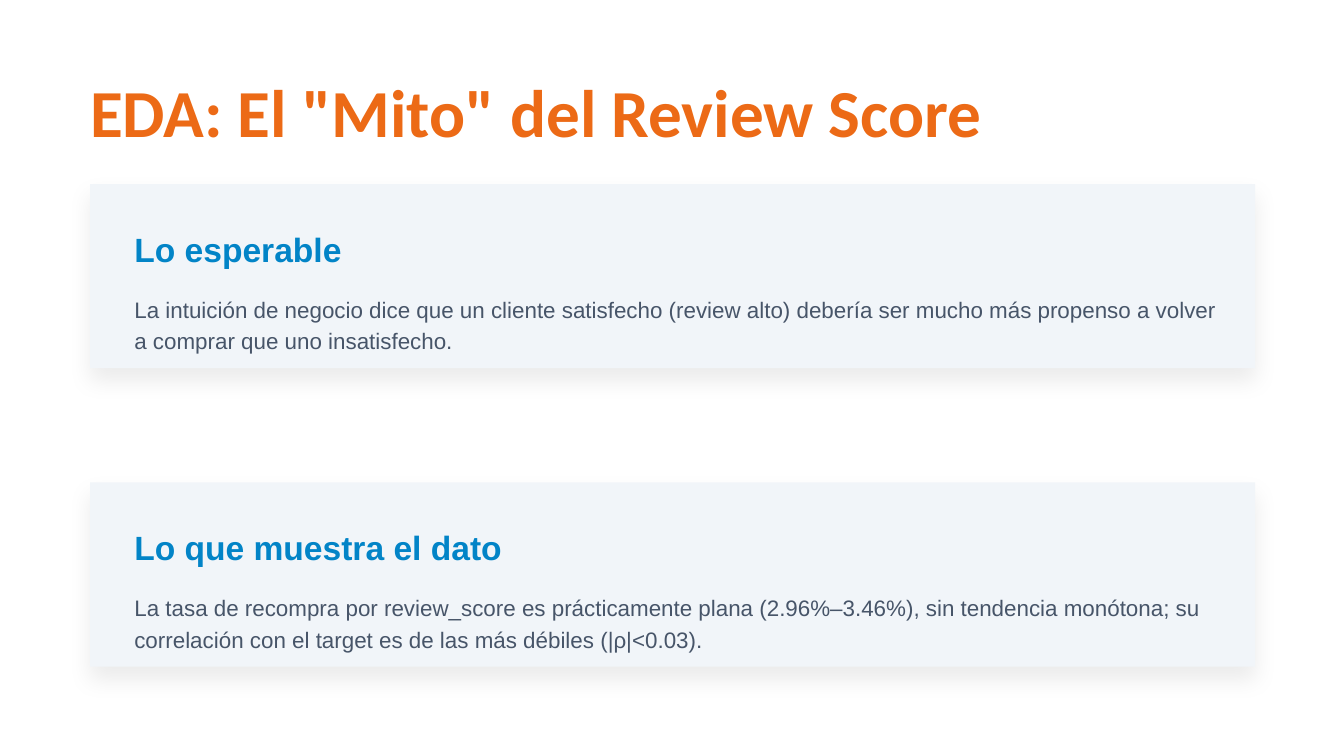
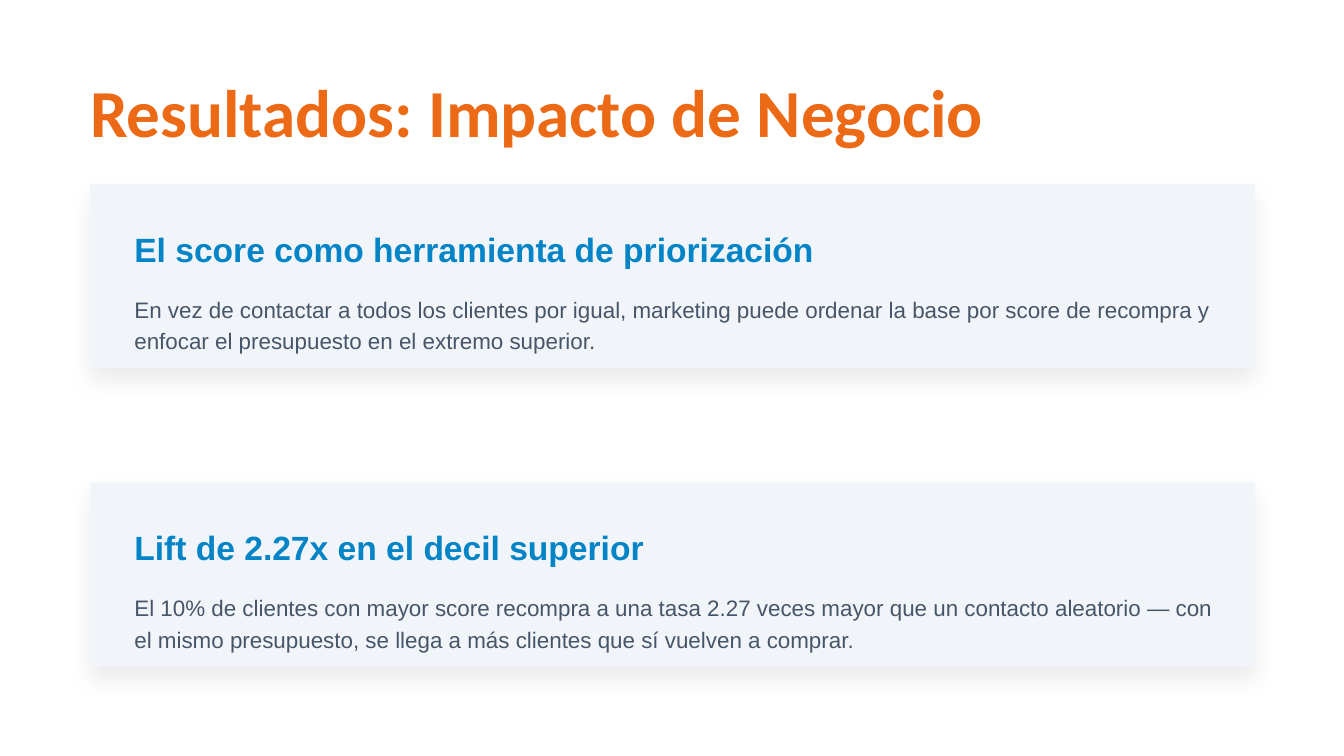
from dataclasses import dataclass

from lxml.etree import SubElement
from pptx import Presentation
from pptx.dml.color import RGBColor
from pptx.enum.shapes import MSO_SHAPE
from pptx.oxml.ns import qn
from pptx.util import Inches, Pt


@dataclass(frozen=True)
class Theme:
    background = "FFFFFF"
    card = "F1F5F9"
    shadow = "000000"
    title = {"name": "Calibri", "size": 36, "bold": True, "color": "EC6A16", "leading": 32.4}
    heading = {"name": "Arial", "size": 18, "bold": True, "color": "0284C7", "leading": 21.6}
    body = {"name": "Arial", "size": 12, "bold": False, "color": "475569", "leading": 16.8}


THEME = Theme()

SLIDE_WIDTH = Inches(10)
SLIDE_HEIGHT = SLIDE_WIDTH * 9 // 16
MARGIN = 0.67
CARD_TOP, CARD_WIDTH, CARD_HEIGHT, CARD_STEP = 1.37, 8.67, 1.37, 2.22
CARD_PADDING, BODY_OFFSET, CARD_TEXT_WIDTH = 0.33, 0.8, 8.16

SLIDES = [
    ('EDA: El "Mito" del Review Score', [
        ("Lo esperable",
         "La intuición de negocio dice que un cliente satisfecho (review alto) debería ser "
         "mucho más propenso a volver a comprar que uno insatisfecho."),
        ("Lo que muestra el dato",
         "La tasa de recompra por review_score es prácticamente plana (2.96%–3.46%), sin "
         "tendencia monótona; su correlación con el target es de las más débiles (|ρ|<0.03)."),
    ]),
    ("Resultados: Impacto de Negocio", [
        ("El score como herramienta de priorización",
         "En vez de contactar a todos los clientes por igual, marketing puede ordenar la base "
         "por score de recompra y enfocar el presupuesto en el extremo superior."),
        ("Lift de 2.27x en el decil superior",
         "El 10% de clientes con mayor score recompra a una tasa 2.27 veces mayor que un "
         "contacto aleatorio — con el mismo presupuesto, se llega a más clientes que sí "
         "vuelven a comprar."),
    ]),
]


def add_text(slide, text, left, top, width, height, style):
    box = slide.shapes.add_textbox(Inches(left), Inches(top), Inches(width), Inches(height))
    frame = box.text_frame
    frame.word_wrap = True
    for side in ("left", "top", "right", "bottom"):
        setattr(frame, f"margin_{side}", 0)
    paragraph = frame.paragraphs[0]
    paragraph.line_spacing = Pt(style["leading"])
    run = paragraph.add_run()
    run.text = text
    font_format = {"name": style["name"], "size": Pt(style["size"]), "bold": style["bold"]}
    for attribute, value in font_format.items():
        setattr(run.font, attribute, value)
    run.font.color.rgb = RGBColor.from_string(style["color"])


def add_soft_shadow(panel):
    """Give the panel a faint shadow that falls straight down."""
    panel.shadow.inherit = False
    effects = panel._element.spPr.find(qn("a:effectLst"))
    shadow = SubElement(effects, qn("a:outerShdw"), blurRad=str(Pt(12)), dist=str(Pt(6)),
                        dir="5400000", algn="bl", rotWithShape="0")
    color = SubElement(shadow, qn("a:srgbClr"), val=THEME.shadow)
    SubElement(color, qn("a:alpha"), val="8000")


def add_panel(slide, top):
    panel = slide.shapes.add_shape(MSO_SHAPE.RECTANGLE, Inches(MARGIN), Inches(top),
                                   Inches(CARD_WIDTH), Inches(CARD_HEIGHT))
    panel.fill.solid()
    panel.fill.fore_color.rgb = RGBColor.from_string(THEME.card)
    panel.line.fill.background()
    add_soft_shadow(panel)


def add_card_text(slide, top, heading, body):
    left = MARGIN + CARD_PADDING
    add_text(slide, heading, left, top + CARD_PADDING, CARD_TEXT_WIDTH, 0.3, THEME.heading)
    add_text(slide, body, left, top + BODY_OFFSET, CARD_TEXT_WIDTH, 0.23, THEME.body)


def add_card_slide(deck, title, cards):
    slide = deck.slides.add_slide(deck.slide_layouts[6])
    slide.background.fill.solid()
    slide.background.fill.fore_color.rgb = RGBColor.from_string(THEME.background)
    card_tops = [CARD_TOP + index * CARD_STEP for index in range(len(cards))]
    for top in card_tops:
        add_panel(slide, top)
    add_text(slide, title, MARGIN, 0.67, 8.84, 0.45, THEME.title)
    for top, (heading, body) in zip(card_tops, cards):
        add_card_text(slide, top, heading, body)


def main():
    deck = Presentation()
    deck.slide_width, deck.slide_height = SLIDE_WIDTH, SLIDE_HEIGHT
    for title, cards in SLIDES:
        add_card_slide(deck, title, cards)
    deck.save("out.pptx")


if __name__ == "__main__":
    main()
